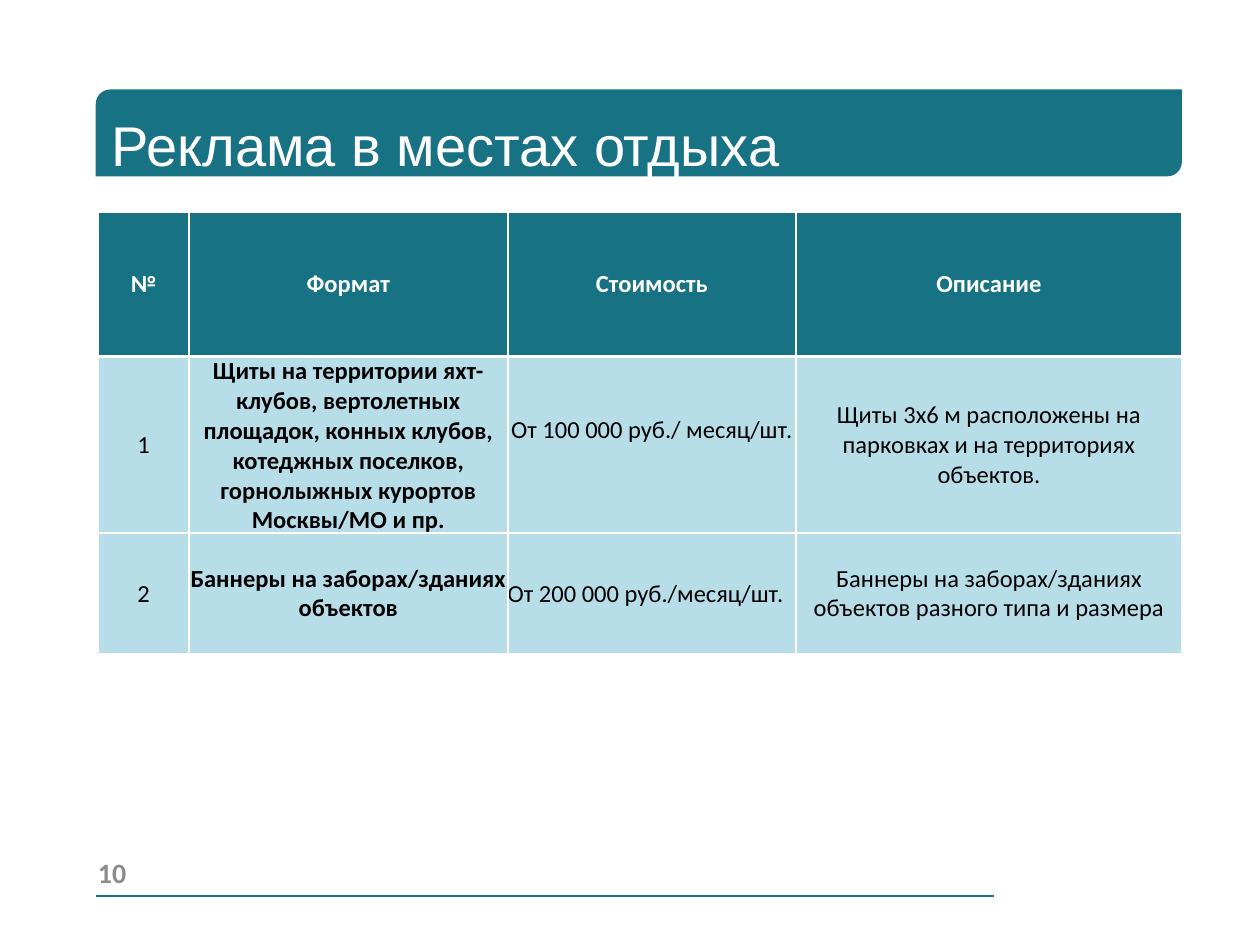
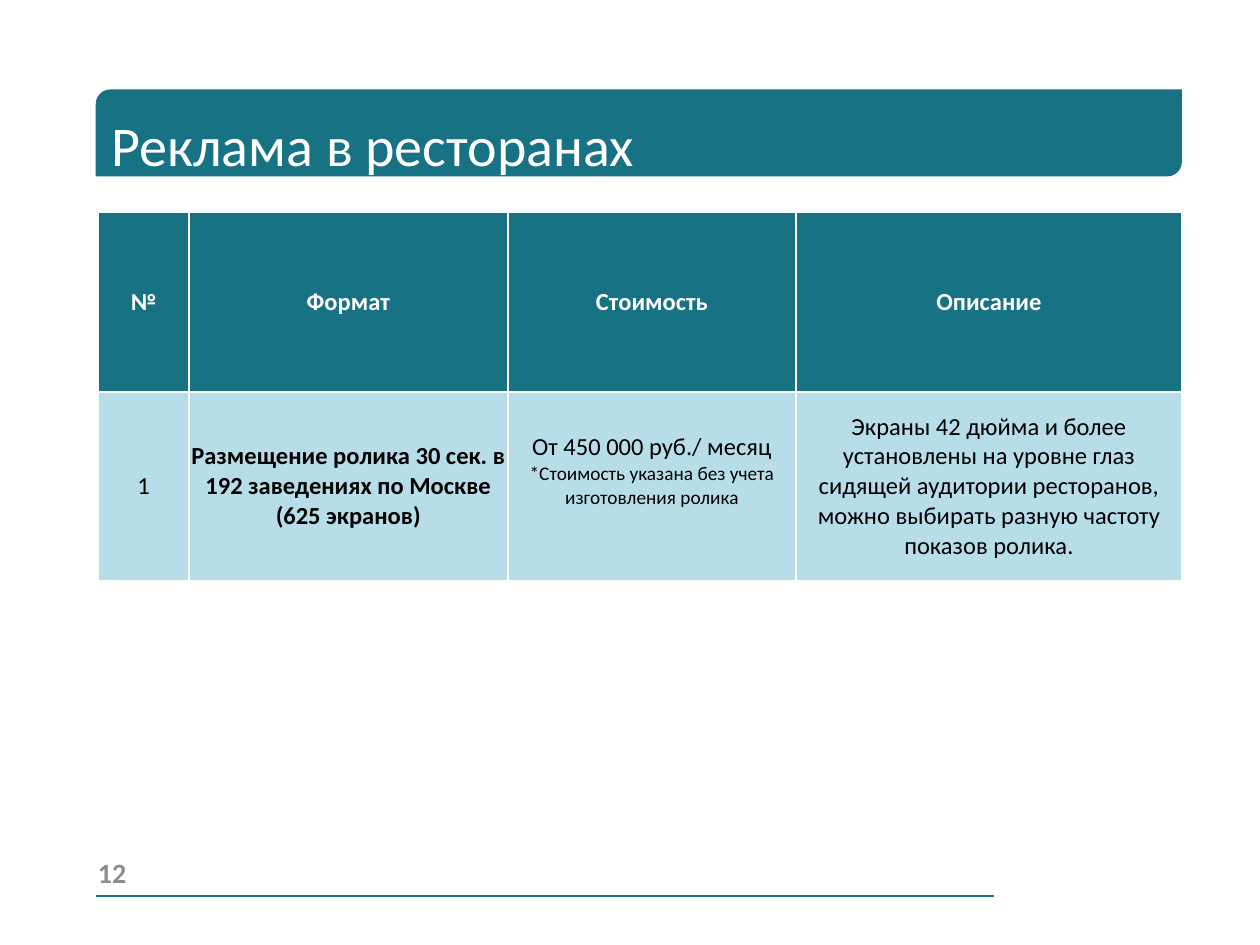
from lxml import etree
from pptx import Presentation
from pptx.dml.color import RGBColor
from pptx.enum.shapes import MSO_CONNECTOR, MSO_SHAPE
from pptx.enum.text import MSO_ANCHOR, PP_ALIGN
from pptx.oxml.ns import qn
from pptx.util import Inches, Pt

LEFT, CENTER, RIGHT = PP_ALIGN.LEFT, PP_ALIGN.CENTER, PP_ALIGN.RIGHT
TOP, MIDDLE = MSO_ANCHOR.TOP, MSO_ANCHOR.MIDDLE
BAND = MSO_SHAPE.ROUND_2_DIAG_RECTANGLE
STRAIGHT = MSO_CONNECTOR.STRAIGHT

TEAL, PALE, GREY, WHITE, BLACK = "177284", "B7DEE8", "8C8C8C", "FFFFFF", "000000"
COLUMNS = [0.72, 2.53, 2.29, 3.06]
HEADERS = ["№", "Формат", "Стоимость", "Описание"]
COST = HEADERS.index("Стоимость")
NOTE_SIZE = 11

# Each cost is a list of lines: the price, then an optional small note.
SLIDES = [
    dict(title="Реклама в местах отдыха", font="Arial", number="10",
         heights=[1.15, 1.4, 0.96],
         rows=[
             ("1", "Щиты на территории яхт-клубов, вертолетных площадок, "
                   "конных клубов, котеджных поселков, горнолыжных курортов "
                   "Москвы/МО и пр.",
              ["От 100 000 руб./ месяц/шт."],
              "Щиты 3х6 м расположены на парковках и на территориях объектов."),
             ("2", "Баннеры на заборах/зданиях объектов",
              ["От 200 000 руб./месяц/шт."],
              "Баннеры на заборах/зданиях объектов разного типа и размера"),
         ]),
    dict(title="Реклама в ресторанах", font="Calibri", number="12",
         heights=[1.43, 1.5],
         rows=[
             ("1", "Размещение ролика 30 сек. в 192 заведениях по Москве "
                   "(625 экранов)",
              ["От 450 000 руб./ месяц",
               "*Стоимость указана без учета изготовления ролика"],
              "Экраны 42 дюйма и более установлены на уровне глаз сидящей "
              "аудитории ресторанов, можно выбирать разную частоту показов "
              "ролика."),
         ]),
]


def write(p, text, size=14, color=BLACK, font="Calibri", bold=False, align=CENTER):
    p.alignment = align
    r = p.add_run()
    r.text = text
    r.font.size, r.font.name, r.font.bold = Pt(size), font, bold
    r.font.color.rgb = RGBColor.from_string(color)


def set_borders(cell, bottom, top):
    """Draw white cell borders; widths are in points."""
    tcPr = cell._tc.get_or_add_tcPr()
    for side, width in (("L", 1.5), ("R", 1.5), ("T", top), ("B", bottom)):
        ln = etree.SubElement(tcPr, qn(f"a:ln{side}"), w=str(Pt(width)))
        fill = etree.SubElement(ln, qn("a:solidFill"))
        etree.SubElement(fill, qn("a:srgbClr"), val=WHITE)


prs = Presentation()
prs.slide_width, prs.slide_height = Inches(10), Inches(7.5)

for page in SLIDES:
    s = prs.slides.add_slide(prs.slide_layouts[6])

    # Title band
    sp = s.shapes.add_shape(BAND, Inches(0.76), Inches(0.71), Inches(8.62), Inches(0.69))
    sp.shadow.inherit = False
    sp.fill.solid()
    sp.fill.fore_color.rgb = RGBColor.from_string(TEAL)
    sp.line.fill.background()
    tf = sp.text_frame
    tf.word_wrap, tf.vertical_anchor = True, TOP
    tf.margin_left = tf.margin_right = Inches(0.09)
    tf.margin_top, tf.margin_bottom = Inches(0.13), Inches(0.04)
    write(tf.paragraphs[0], page["title"], size=32, color=WHITE,
          font=page["font"], align=LEFT)

    # Page number and footer rule
    tf = s.shapes.add_textbox(Inches(0.53), Inches(6.72), Inches(0.57), Inches(0.4)).text_frame
    tf.word_wrap, tf.vertical_anchor = True, MIDDLE
    write(tf.paragraphs[0], page["number"], size=16, color=GREY, bold=True, align=RIGHT)
    rule = s.shapes.add_connector(STRAIGHT, Inches(0.76), Inches(7.11), Inches(7.89), Inches(7.11))
    rule.line.color.rgb = RGBColor.from_string(TEAL)
    rule.line.width = Pt(1.5)
    etree.SubElement(rule._element.spPr, qn("a:effectLst"))

    # Price table
    heights = page["heights"]
    table = s.shapes.add_table(len(heights), len(COLUMNS), Inches(0.78), Inches(1.68),
                               Inches(sum(COLUMNS)), Inches(sum(heights))).table
    table.horz_banding = False
    for column, width in zip(table.columns, COLUMNS):
        column.width = Inches(width)
    for row, height in zip(table.rows, heights):
        row.height = Inches(height)

    for i, values in enumerate([HEADERS, *page["rows"]]):
        for j, value in enumerate(values):
            cell = table.cell(i, j)
            set_borders(cell, bottom=1 if i and j else 1.5, top=1 if i > 1 and j else 1.5)
            cell.fill.solid()
            cell.fill.fore_color.rgb = RGBColor.from_string(PALE if i else TEAL)
            cell.vertical_anchor = MIDDLE
            cell.margin_left = cell.margin_right = cell.margin_top = cell.margin_bottom = 0
            tf = cell.text_frame
            if i == 0:
                write(tf.paragraphs[0], value, color=WHITE, bold=True)
            elif j == COST:
                # The first offer sits a little above the middle of its row
                cell.margin_bottom = Inches(0.24 if i == 1 else 0)
                write(tf.paragraphs[0], value[0], align=CENTER if i == 1 else LEFT)
                for note in value[1:]:
                    write(tf.add_paragraph(), note, size=NOTE_SIZE)
            else:
                write(tf.paragraphs[0], value, bold=j == 1)

prs.save("out.pptx")
